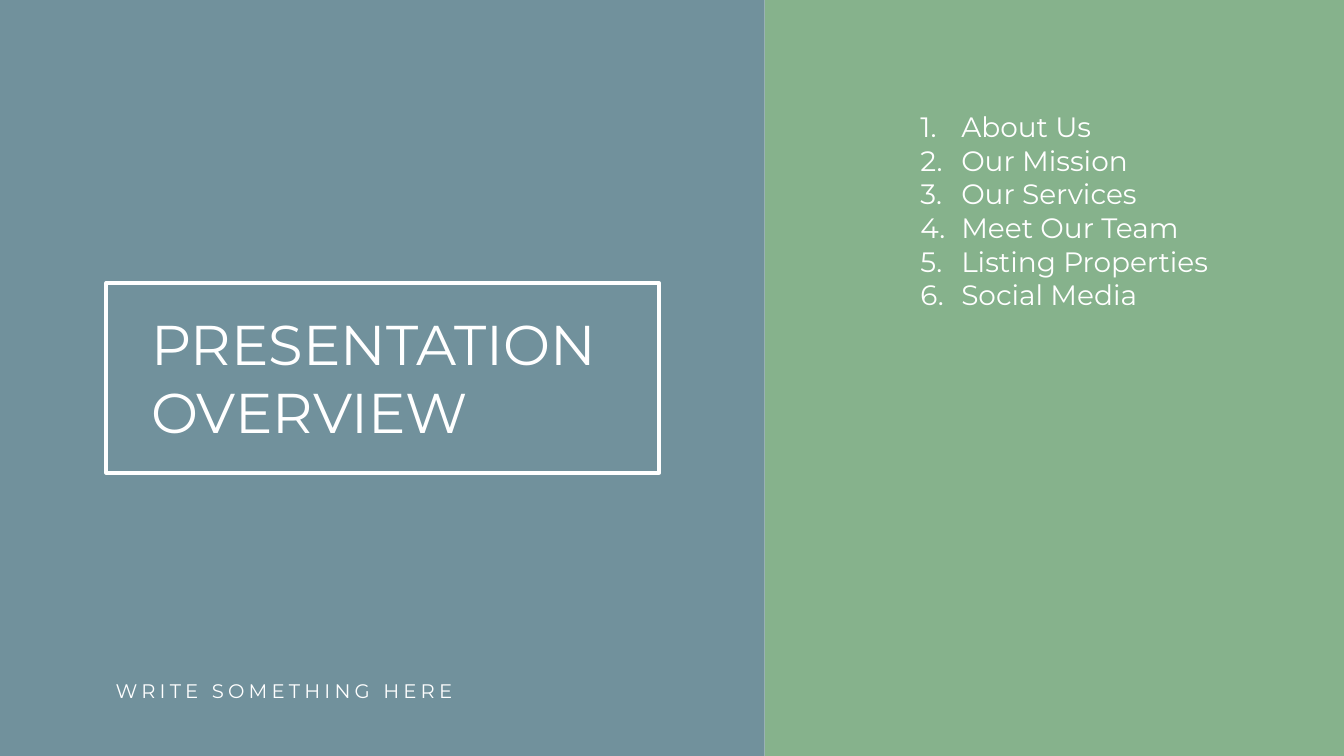
from lxml.etree import SubElement
from pptx import Presentation
from pptx.dml.color import RGBColor
from pptx.enum.shapes import MSO_SHAPE as Shape
from pptx.enum.text import MSO_AUTO_SIZE as AutoSize, PP_ALIGN as Align
from pptx.oxml.ns import qn
from pptx.util import Pt

WHITE = RGBColor(0xFF, 0xFF, 0xFF)
GREY = RGBColor(0xD9, 0xD9, 0xD9)
TEAL = RGBColor(0x0A, 0x4B, 0x61)
GREEN = RGBColor(0x86, 0xB2, 0x8C)
FONT = "Montserrat"

TITLE = ["PRESENTATION", "OVERVIEW"]
AGENDA = ["About Us", "Our Mission", "Our Services", "Meet Our Team",
          "Listing Properties", "Social Media"]
TAGLINE = ["WRITE SOMETHING HERE"]

WIDTH, HEIGHT = 1919.52, 1080
SPLIT = 1092.24
MARGIN = 151.92
INDENT = 58.32


def add_rectangle(page, left, top, width, height, fill=None, opacity=100):
    box = page.shapes.add_shape(Shape.RECTANGLE, Pt(left), Pt(top), Pt(width), Pt(height))
    box.shadow.inherit = False
    box.line.fill.background()
    if fill is None:
        box.fill.background()
        return box
    box.fill.solid()
    box.fill.fore_color.rgb = fill
    if opacity < 100:
        color = box.fill._xPr.find(qn("a:solidFill"))[0]
        SubElement(color, qn("a:alpha"), val=str(opacity * 1000))
    return box


def add_text(page, lines, left, top, width, height, size, wrap=True):
    box = page.shapes.add_textbox(Pt(left), Pt(top), Pt(width), Pt(height))
    frame = box.text_frame
    frame.word_wrap = wrap
    frame.auto_size = AutoSize.SHAPE_TO_FIT_TEXT
    frame.text = "\n".join(lines)
    for para in frame.paragraphs:
        for span in para.runs:
            span.font.name = FONT
            span.font.size = Pt(size)
            span.font.color.rgb = WHITE
    return frame.paragraphs


def number(para):
    properties = para._p.get_or_add_pPr()
    properties.set("marL", str(Pt(INDENT)))
    properties.set("indent", str(-Pt(INDENT)))
    SubElement(properties, qn("a:buFont"), typeface="+mj-lt")
    SubElement(properties, qn("a:buAutoNum"), type="arabicPeriod")


def main():
    deck = Presentation()
    deck.slide_width, deck.slide_height = Pt(WIDTH), Pt(HEIGHT)
    page = deck.slides.add_slide(deck.slide_layouts[6])

    add_rectangle(page, 0, 0, SPLIT, HEIGHT, GREY)
    add_rectangle(page, 0, 0, SPLIT, HEIGHT, TEAL, 50)
    add_rectangle(page, SPLIT, 0, WIDTH - SPLIT, HEIGHT, GREEN)

    frame = add_rectangle(page, MARGIN, 404.64, 789.12, 270.72)
    frame.line.color.rgb = WHITE
    frame.line.width = Pt(6)

    add_text(page, TITLE, 208.8, 439.2, 732.24, 200.88, 80)
    for para in add_text(page, AGENDA, 1307.52, 153.36, 450, 298.08, 40):
        number(para)
    for para in add_text(page, TAGLINE, MARGIN, 966.24, 507.6, 41.04, 28, wrap=False):
        para.alignment = Align.CENTER
        for span in para.runs:
            span.font._element.set("spc", "600")

    deck.save("out.pptx")


if __name__ == "__main__":
    main()
